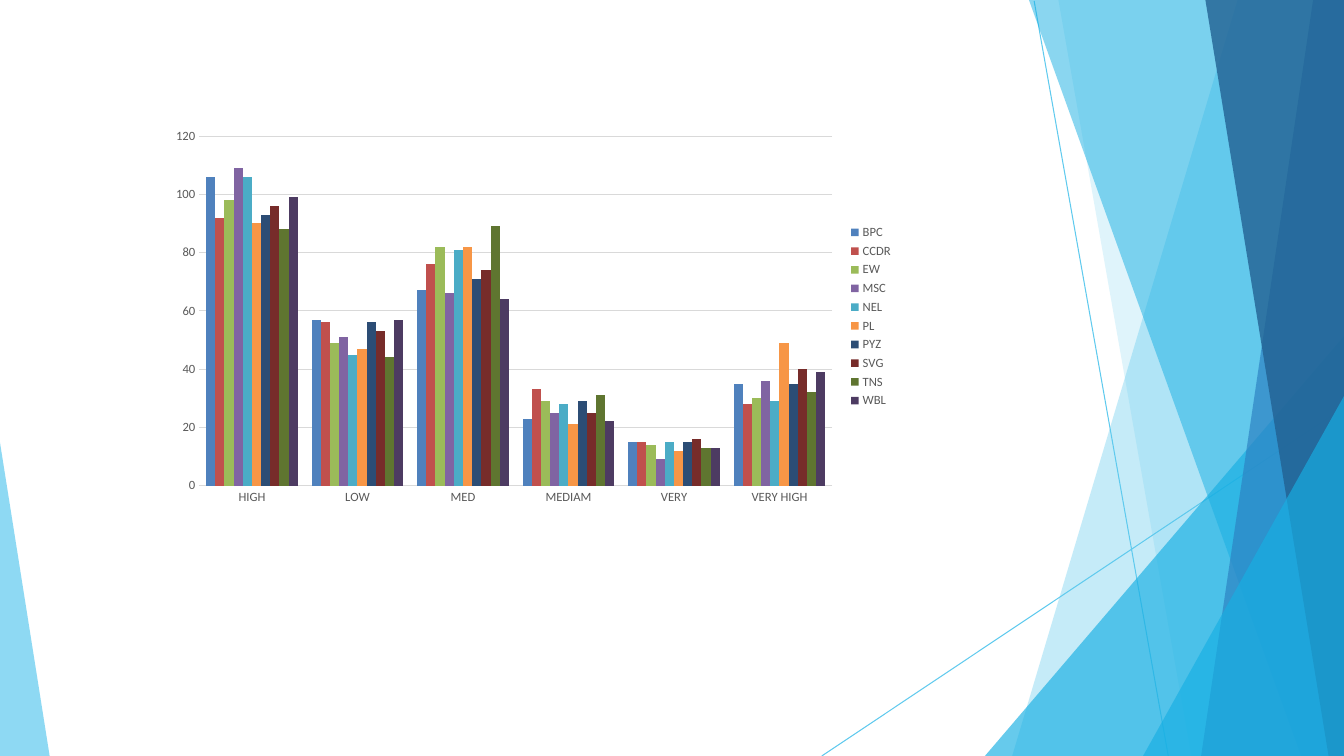
from dataclasses import dataclass

from lxml import etree
from pptx import Presentation
from pptx.chart import data as cd
from pptx.dml.color import RGBColor
from pptx.enum import chart as ce
from pptx.enum import shapes
from pptx.oxml.ns import qn
from pptx.util import Pt

WIDTH, HEIGHT = 960, 540
FONT, GREY = "Calibri", "595959"


@dataclass
class Panel:
    """A band from its slanted side to a slide edge, down to the slide's foot."""
    top_x: float
    bottom_x: float
    color: str
    opacity: int
    top_y: float = 0
    edge: float = WIDTH


@dataclass
class Line:
    x1: float
    y1: float
    x2: float
    y2: float


@dataclass
class Series:
    name: str
    color: str
    values: tuple[int, ...]


LINES = [Line(738.7, 0.7, 834.5, HEIGHT), Line(WIDTH, 291, 587, HEIGHT)]

PANELS = [
    Panel(884, 723, "5FCAEE", 36),
    Panel(756, 851, "5FCAEE", 20),
    Panel(WIDTH, 703.5, "17AFE3", 66, top_y=240),
    Panel(735, 929.5, "17AFE3", 50),
    Panel(938, 858, "2D83C3", 70),
    Panel(861, 949, "226192", 80),
    Panel(WIDTH, 816.5, "17AFE3", 66, top_y=283),
    Panel(0, 35.5, "5FCAEE", 70, top_y=316, edge=0),
]

CATEGORIES = ["HIGH", "LOW", "MED", "MEDIAM", "VERY", "VERY HIGH"]
SERIES = [
    Series("BPC", "4F81BD", (106, 57, 67, 23, 15, 35)),
    Series("CCDR", "C0504D", (92, 56, 76, 33, 15, 28)),
    Series("EW", "9BBB59", (98, 49, 82, 29, 14, 30)),
    Series("MSC", "8064A2", (109, 51, 66, 25, 9, 36)),
    Series("NEL", "4BACC6", (106, 45, 81, 28, 15, 29)),
    Series("PL", "F79646", (90, 47, 82, 21, 12, 49)),
    Series("PYZ", "2C4D75", (93, 56, 71, 29, 15, 35)),
    Series("SVG", "772C2A", (96, 53, 74, 25, 16, 40)),
    Series("TNS", "5F7530", (88, 44, 89, 31, 13, 32)),
    Series("WBL", "4D3B62", (99, 57, 64, 22, 13, 39)),
]


def rgb(color: str) -> RGBColor:
    return RGBColor.from_string(color)


def set_fill(fill, color: str) -> None:
    fill.solid()
    fill.fore_color.rgb = rgb(color)


def set_font(font, size: float, color: str) -> None:
    font.name, font.size = FONT, Pt(size)
    font.color.rgb = rgb(color)


def add_line(s, line: Line) -> None:
    c = s.shapes.add_connector(shapes.MSO_CONNECTOR.STRAIGHT, Pt(line.x1),
                               Pt(line.y1), Pt(line.x2), Pt(line.y2))
    c.line.color.rgb = rgb("5FCAEE")
    c.line.width = Pt(0.75)
    etree.SubElement(c.line._get_or_add_ln().getparent(), qn("a:effectLst"))


def add_panel(s, panel: Panel) -> None:
    corners = [(panel.edge, panel.top_y), (panel.top_x, panel.top_y),
               (panel.bottom_x, HEIGHT), (panel.edge, HEIGHT)]
    start, *rest = [(Pt(x), Pt(y)) for x, y in dict.fromkeys(corners)]
    builder = s.shapes.build_freeform(*start)
    builder.add_line_segments(rest, close=True)
    sp = builder.convert_to_shape()
    sp.shadow.inherit = False
    sp.line.fill.background()
    set_fill(sp.fill, panel.color)
    color = sp.fill._xPr.find(qn("a:solidFill"))[0]
    etree.SubElement(color, qn("a:alpha"), val=str(panel.opacity * 1000))


def add_column_chart(s) -> None:
    data = cd.CategoryChartData()
    data.categories = CATEGORIES
    for item in SERIES:
        data.add_series(item.name, item.values)
    chart = s.shapes.add_chart(ce.XL_CHART_TYPE.COLUMN_CLUSTERED, Pt(115.2),
                               Pt(86.4), Pt(530), Pt(279.4), data).chart
    chart.has_title = False
    set_font(chart.font, 10, "000000")

    plot = chart.plots[0]
    plot.vary_by_categories = False
    plot.gap_width, plot.overlap = 150, 0
    for series, item in zip(plot.series, SERIES):
        set_fill(series.format.fill, item.color)

    for axis in (chart.category_axis, chart.value_axis):
        axis.major_tick_mark = axis.minor_tick_mark = ce.XL_TICK_MARK.NONE
        axis.format.line.fill.background()
        set_font(axis.tick_labels.font, 9, GREY)
    value_axis = chart.value_axis
    value_axis.minimum_scale, value_axis.maximum_scale = 0, 120
    value_axis.major_unit = 20
    grid = value_axis.major_gridlines.format.line
    grid.color.rgb = rgb("D9D9D9")
    grid.width = Pt(0.75)

    chart.has_legend = True
    chart.legend.position = ce.XL_LEGEND_POSITION.RIGHT
    chart.legend.include_in_layout = False
    set_font(chart.legend.font, 9, GREY)


def main() -> None:
    prs = Presentation()
    prs.slide_width, prs.slide_height = Pt(WIDTH), Pt(HEIGHT)
    s = prs.slides.add_slide(prs.slide_layouts[6])
    for line in LINES:
        add_line(s, line)
    for panel in PANELS:
        add_panel(s, panel)
    add_column_chart(s)
    prs.save("out.pptx")


if __name__ == "__main__":
    main()
